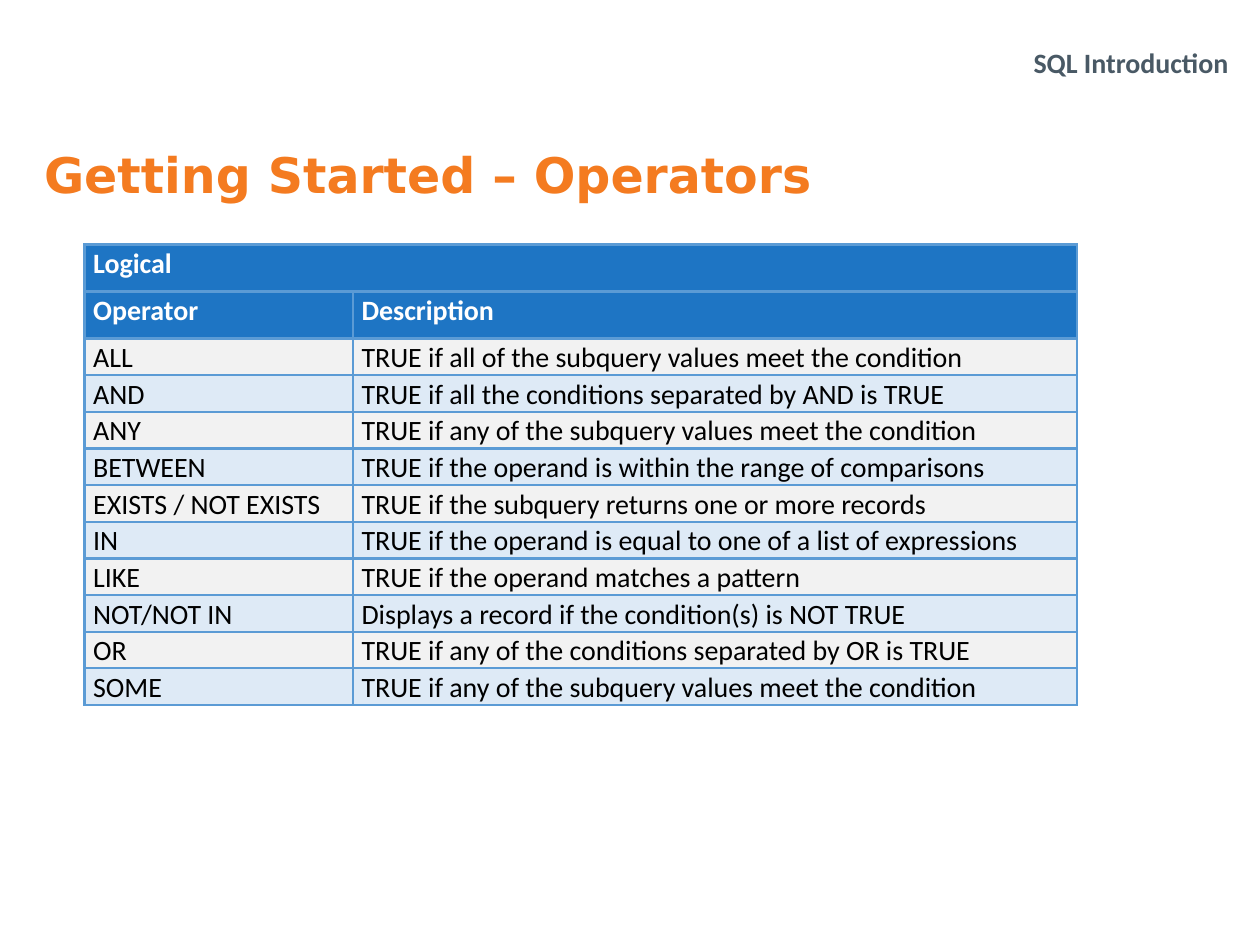
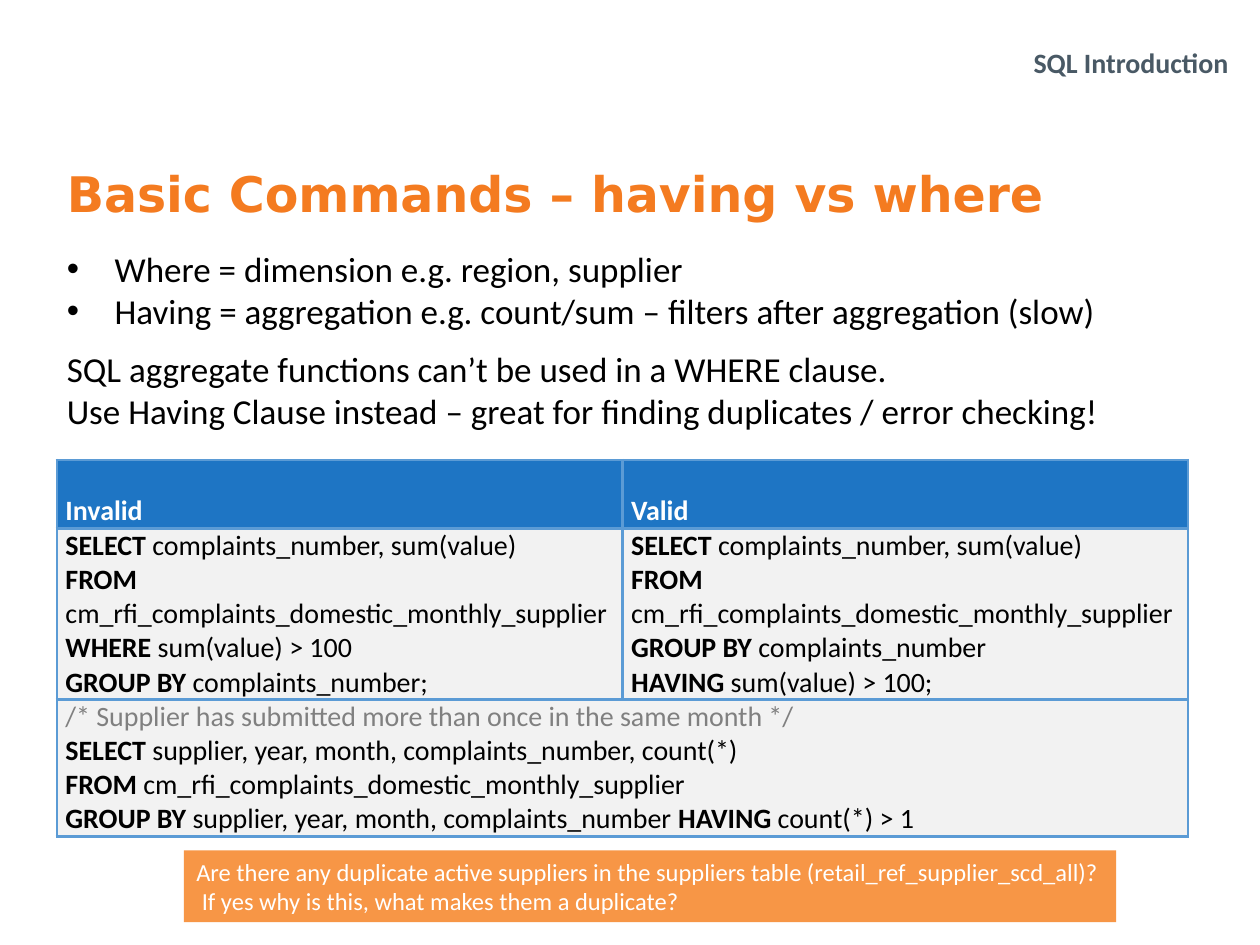
"""Build two slides of an SQL course: logical operators, and having versus where."""
from lxml import etree
from pptx import Presentation
from pptx import util as u
from pptx.dml.color import RGBColor
from pptx.enum import shapes, text
from pptx.oxml import ns

SLATE = RGBColor(0x49, 0x59, 0x65)
ORANGE = RGBColor(0xF4, 0x7B, 0x20)
PEACH = RGBColor(0xF7, 0x96, 0x46)
BLUE = RGBColor(0x1E, 0x75, 0xC4)
EDGE = RGBColor(0x5B, 0x9B, 0xD5)
PALE = RGBColor(0xDE, 0xEA, 0xF6)
LIGHT = RGBColor(0xF2, 0xF2, 0xF2)
GREY = RGBColor(0x80, 0x80, 0x80)
BLACK = RGBColor(0, 0, 0)
WHITE = RGBColor(0xFF, 0xFF, 0xFF)
PLAIN, HEAVY = "Calibri", "DejaVu Sans"
COLS = 100

LOGIC = [
    ("Logical", None),
    ("Operator", "Description"),
    ("ALL", "TRUE if all of the subquery values meet the condition"),
    ("AND", "TRUE if all the conditions separated by AND is TRUE"),
    ("ANY", "TRUE if any of the subquery values meet the condition"),
    ("BETWEEN", "TRUE if the operand is within the range of comparisons"),
    ("EXISTS / NOT EXISTS", "TRUE if the subquery returns one or more records"),
    ("IN", "TRUE if the operand is equal to one of a list of expressions"),
    ("LIKE", "TRUE if the operand matches a pattern"),
    ("NOT/NOT IN", "Displays a record if the condition(s) is NOT TRUE"),
    ("OR", "TRUE if any of the conditions separated by OR is TRUE"),
    ("SOME", "TRUE if any of the subquery values meet the condition"),
]
PICK = """|SELECT |complaints_number, sum(value)
|FROM |cm_rfi_complaints_domestic_monthly_supplier
"""
CLAUSE = [
    ("|Invalid", "|Valid"),
    (PICK + "|WHERE| sum(value) > 100\n|GROUP BY |complaints_number;",
     PICK + "|GROUP BY |complaints_number\n|HAVING| sum(value) > 100;"),
    ("""/* Supplier has submitted more than once in the same month */
|SELECT| supplier, year, month, complaints_number, count(*)
|FROM |cm_rfi_complaints_domestic_monthly_supplier
|GROUP BY| supplier, year, month, complaints_number |HAVING| count(*) > 1""", None),
]


class Deck:
    """Hold the style and the current slide; lengths are hundredths of the width."""

    def __init__(self):
        self.prs = Presentation()
        self.prs.slide_width, self.prs.slide_height = u.Inches(10), u.Inches(7.5)
        self.unit = self.prs.slide_width / COLS

    def size(self, *marks):
        """Turn grid marks into lengths."""
        return [u.Emu(round(mark * self.unit)) for mark in marks]

    def place(self, shape, *box):
        """Move a shape to a box on the grid."""
        shape.left, shape.top, shape.width, shape.height = self.size(*box)

    def style(self, para, size, tint, face=PLAIN, bold=False):
        """Format every run of a paragraph."""
        for run in para.runs:
            font = run.font
            font.size, font.name, font.bold = u.Pt(size), face, bold
            font.color.rgb = tint

    def start(self, head, *box):
        """Add a slide with the course title and an orange heading."""
        self.slide = self.prs.slides.add_slide(self.prs.slide_layouts[1])
        title, self.body = self.slide.placeholders
        self.place(title, 31.9, 3.1, 66.6, 3.1)
        self.place(self.body, *box)
        for part, words in ((title, "SQL Introduction"), (self.body, head)):
            frame = part.text_frame
            frame.text = words
            frame.auto_size = text.MSO_AUTO_SIZE.NONE
            frame.vertical_anchor = text.MSO_ANCHOR.TOP
        para = title.text_frame.paragraphs[0]
        para.alignment = text.PP_ALIGN.RIGHT
        self.style(para, 16, SLATE, bold=True)
        self.body.text_frame.margin_top = u.Inches(0.07)
        para = self.body.text_frame.paragraphs[0]
        self.space(para, 0)
        self.style(para, 28, ORANGE, HEAVY, True)

    def space(self, para, gap, mark=None):
        """Set the gap above a paragraph and its bullet, if any."""
        para.space_before = u.Pt(gap)
        props = para._p.get_or_add_pPr()
        dent = u.Inches(0.38) if mark else 0
        props.set("marL", str(dent))
        props.set("indent", str(-dent))
        if mark:
            etree.SubElement(props, ns.qn("a:buChar")).set("char", mark)
        else:
            etree.SubElement(props, ns.qn("a:buNone"))

    def lines(self, words, gap, mark=None):
        """Add lines to the body, with a gap above the first."""
        for spot, line in enumerate(words):
            para = self.body.text_frame.add_paragraph()
            para.text = line
            self.space(para, 0 if spot else gap, mark)
            self.style(para, 20, BLACK)

    def edge(self, cell):
        """Draw the four borders of a cell."""
        props = cell._tc.get_or_add_tcPr()
        for side in ("lnL", "lnR", "lnT", "lnB"):
            line = etree.SubElement(props, ns.qn("a:" + side), w=str(u.Pt(1.5)))
            fill = etree.SubElement(line, ns.qn("a:solidFill"))
            etree.SubElement(fill, ns.qn("a:srgbClr"), val=str(EDGE))

    def fill(self, cell, words, tint, ink, lead, gap):
        """Write a cell, where a bar turns bold on or off."""
        self.edge(cell)
        cell.fill.solid()
        cell.fill.fore_color.rgb = tint
        cell.margin_left = cell.margin_right = u.Inches(0.07)
        cell.margin_top = cell.margin_bottom = 0
        frame = cell.text_frame
        frame.text = words.replace("|", "")
        for para, line in zip(frame.paragraphs, words.split("\n")):
            para.text = ""
            para.line_spacing, para.space_before = lead, u.Pt(gap)
            for spot, piece in enumerate(line.split("|")):
                if piece:
                    para.add_run().text = piece
                    self.style(para, 16, GREY if line.startswith("/*") else ink)
            bolds = [spot % 2 == 1 for spot, piece in enumerate(line.split("|")) if piece]
            for run, bold in zip(para.runs, bolds):
                run.font.bold = bold

    def table(self, rows, left, top, wide, high, heads, looks):
        """Add a table; a missing second cell joins the first."""
        box = self.size(left, top, sum(wide), sum(high))
        grid = self.slide.shapes.add_table(len(rows), len(wide), *box).table
        grid.horz_banding = False
        for col, width in zip(grid.columns, self.size(*wide)):
            col.width = width
        for row, height in zip(grid.rows, self.size(*high)):
            row.height = height
        for r, row in enumerate(rows):
            head = r < heads
            tint = BLUE if head else (LIGHT, PALE)[(r - heads) % 2]
            if not head and len(looks) == 2:
                tint = LIGHT
            lead, gap = looks[0] if head else looks[-1]
            for c, words in enumerate(row):
                self.fill(grid.cell(r, c), words or "", tint,
                          WHITE if head else BLACK, lead, gap)
            if row[1] is None:
                grid.cell(r, 0).merge(grid.cell(r, 1))

    def note(self, words, *box):
        """Add an orange box with a question."""
        shape = self.slide.shapes.add_shape(shapes.MSO_SHAPE.RECTANGLE, *self.size(*box))
        shape.shadow.inherit = False
        shape.fill.solid()
        shape.fill.fore_color.rgb = PEACH
        shape.line.fill.background()
        shape.text_frame.text = words
        shape.text_frame.word_wrap = True
        para = shape.text_frame.paragraphs[0]
        para.alignment = text.PP_ALIGN.LEFT
        self.style(para, 14, WHITE)


def main():
    """Build and save the deck."""
    deck = Deck()
    deck.start("Getting Started – Operators", 2.5, 10.8, 91.6, 62.1)
    heads = [tuple(words and "|" + words for words in row) for row in LOGIC[:2]]
    deck.table(heads + LOGIC[2:], 6.7, 19.4, (21.3, 57.5),
               [3.73] * 2 + [2.91] * 10, 2, [(1.07, 0)])

    deck.start("Basic Commands – having vs where", 4.3, 12.3, 90, 62)
    deck.lines(["Where = dimension e.g. region, supplier",
                "Having = aggregation e.g. count/sum – filters after aggregation (slow)"],
               14, "•")
    deck.lines(["SQL aggregate functions can’t be used in a WHERE clause.",
                "Use Having Clause instead – great for finding duplicates / error checking!"],
               9.5)
    deck.table(CLAUSE, 4.5, 36.5, (44.9, 44.9), (4.6, 12.3, 9.9), 1, [(2.0, 6), (1.0, 0)])
    deck.note("Are there any duplicate active suppliers in the suppliers table "
              "(retail_ref_supplier_scd_all)?\v If yes why is this, "
              "what makes them a duplicate?", 14.6, 67.5, 74, 5.7)
    deck.prs.save("out.pptx")


if __name__ == "__main__":
    main()
